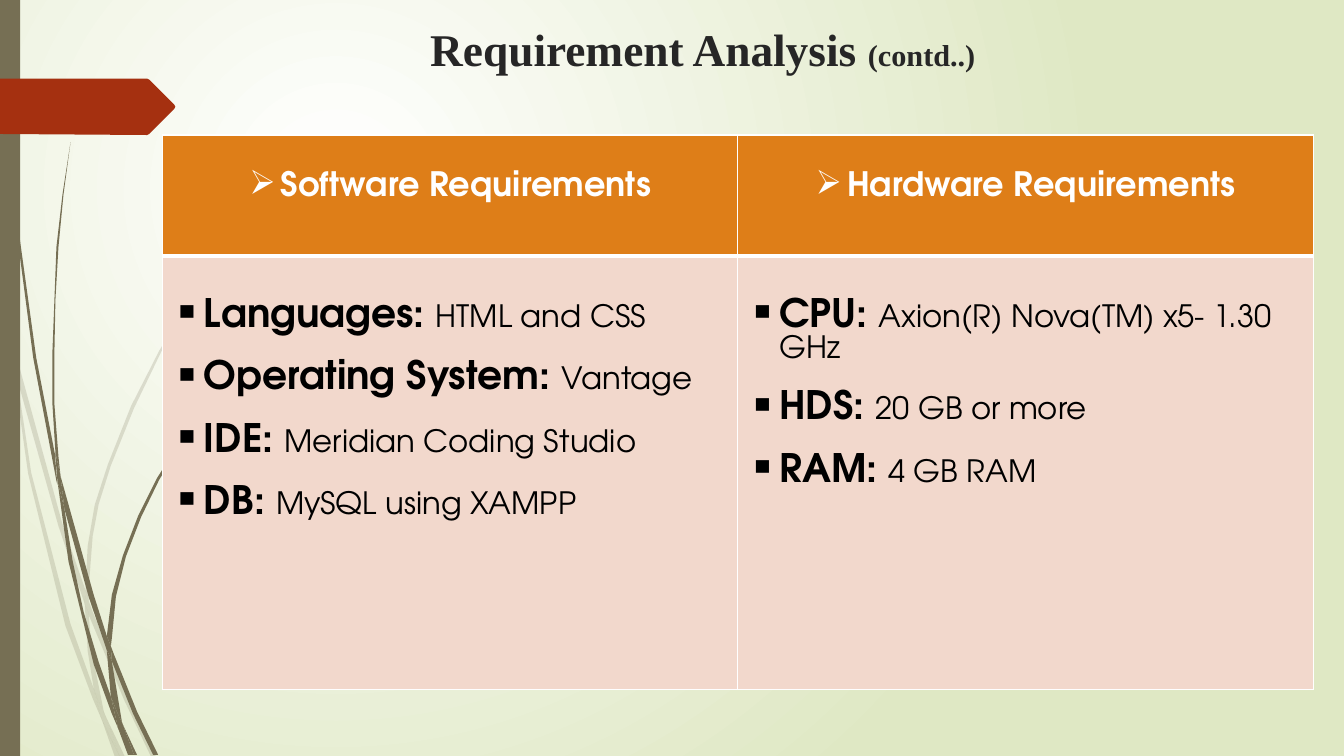
from lxml import etree
from pptx import Presentation
from pptx import util as u
from pptx.dml.color import RGBColor
from pptx.enum import shapes, text
from pptx.oxml.ns import qn

BODY_FONT = "TeX Gyre Adventor"
OLIVE, RUST, ORANGE, BLUSH = "766F54", "A53010", "DE7E18", "F2D8CC"
WHITE, BLACK, INK = "FFFFFF", "000000", "262626"
GRID = 0.72  # points in one unit of the outlines below

PALE_STEMS = [
    "11,350 9,322 0,282 0,299 10,344",
    "58,522 84,599 85,586 62,520 14,345 17,376",
    "92,607 88,596 88,610 123,694 150,751 155,751 127,692",
    "119,751 124,751 105,711",
    "93,683 70,619 31,469 17,376 11,350 28,470 65,621 92,693 101,714 99,707",
    "84,599 87,646 93,683 96,692 105,711 103,706 91,646 88,610 88,608",
    "88,584 92,532 98,500 110,462 133,405 160,349 193,295 229,245 268,198 290,175 312,154 "
    "312,153 289,175 268,197 228,244 191,294 158,348 130,403 107,461 94,501 87,542 85,584 85,586 88,596",
    "101,714 114,751 119,751",
    "88,608 88,610 88,596 85,586 84,599",
    "96,692 93,683 99,707 101,714 119,751 105,711",
]
DARK_STEMS = [
    "7,110 17,233 33,355 56,477 57,481 55,457 55,453 36,355 19,232 8,109 5,48 4,0 3,0 4,48",
    "88,592 106,645 106,633 106,631 93,590 60,472 64,505",
    "113,649 110,641 111,656 132,708 152,749 157,749 136,706",
    "110,691 98,657 83,607 72,556 64,505 57,477 68,557 93,659 111,708 117,722 116,717",
    "60,472 58,453 54,401 54,349 55,297 58,245 63,193 70,141 62,193 56,245 52,349 52,401 55,449",
    "133,749 136,749 122,719",
    "57,477 64,505 60,472 55,449 55,453",
    "111,633 115,592 125,552 140,513 158,476 180,440 205,406 231,374 245,359 261,344 260,344 "
    "245,358 231,373 204,405 178,439 156,474 137,512 122,551 111,590 106,631 110,641",
    "117,722 127,749 131,749",
    "106,645 110,691 116,706 122,719 121,716 111,656 109,651",
    "106,645 109,651 111,656 110,641 106,631 106,633",
    "116,706 110,691 116,717 117,722 130,749 133,749 122,719",
]
ARROW = "0,78 146,78 148,79 173,104 174,106 173,108 148,133 146,134 0,133"

HEADINGS = ["Software Requirements", "Hardware Requirements"]
REQUIREMENTS = [
    [("Languages: ", "HTML and CSS"), ("Operating System: ", "Vantage"),
     ("IDE: ", "Meridian Coding Studio"), ("DB: ", "MySQL using XAMPP")],
    [("CPU: ", "Axion(R) Nova(TM) x5- 1.30 GHz"), ("HDS: ", "20 GB or more"),
     ("RAM: ", "4 GB RAM")],
]


def rgb(value):
    return RGBColor.from_string(value)


def apply(target, values):
    for name, value in values.items():
        setattr(target, name, value)


def paint(shape, color, alpha=None):
    shape.shadow.inherit = False
    shape.fill.solid()
    shape.fill.fore_color.rgb = rgb(color)
    shape.line.fill.background()
    if alpha is not None:
        tint = shape.fill._xPr.find(".//" + qn("a:srgbClr"))
        etree.SubElement(tint, qn("a:alpha"), val=str(alpha * 1000))


def add_outline(page, points, color, alpha=None):
    """Draw a closed outline from "x,y" pairs in grid units."""
    corners = [tuple(u.Pt(int(n) * GRID) for n in pair.split(",")) for pair in points.split()]
    builder = page.shapes.build_freeform(*corners[0], scale=1.0)
    builder.add_line_segments(corners[1:], close=True)
    paint(builder.convert_to_shape(), color, alpha)


def add_span(para, words, size, color, font=BODY_FONT, bold=True):
    span = para.add_run()
    span.text = words
    apply(span.font, {"size": u.Pt(size), "name": font, "bold": bold})
    span.font.color.rgb = rgb(color)


def set_background(page):
    """Fill with a round gradient whose centre is a quarter in from the top left."""
    fill = page.background.fill
    fill.gradient()
    for stop, color in zip(fill.gradient_stops, [WHITE, "DFE8C4"]):
        stop.color.rgb = rgb(color)
    gradient = page._element.find(".//" + qn("a:gradFill"))
    circle = etree.Element(qn("a:path"), path="circle")
    etree.SubElement(circle, qn("a:fillToRect"), l="50000", t="50000", r="100000", b="100000")
    gradient.replace(gradient.find(qn("a:lin")), circle)


def add_title(page):
    box = page.shapes.add_textbox(u.Pt(79), u.Pt(9.4), u.Pt(846), u.Pt(49.7))
    apply(box.text_frame, {"word_wrap": True, "vertical_anchor": text.MSO_ANCHOR.MIDDLE})
    para = box.text_frame.paragraphs[0]
    para.alignment = text.PP_ALIGN.CENTER
    add_span(para, "Requirement Analysis ", 32.4, INK, "Times New Roman")
    add_span(para, "(contd..)", 21.6, INK, "Times New Roman")


def set_bullet(para, mark):
    props = para._p.get_or_add_pPr()
    props.set("marL", str(u.Pt(22.5)))
    props.set("indent", str(-u.Pt(22.5)))
    etree.SubElement(props, qn("a:buChar"), char=mark)


def style_cell(cell, color, top, bottom_line):
    cell.fill.solid()
    cell.fill.fore_color.rgb = rgb(color)
    cell.margin_top = u.Pt(top)
    props = cell._tc.get_or_add_tcPr()
    edges = {"lnL": 1, "lnR": 1, "lnT": 1, "lnB": bottom_line}
    for place, (edge, width) in enumerate(edges.items()):
        line = etree.Element(qn("a:" + edge), w=str(u.Pt(width)))
        solid = etree.SubElement(line, qn("a:solidFill"))
        etree.SubElement(solid, qn("a:srgbClr"), val=WHITE)
        props.insert(place, line)


def fill_heading(cell, words):
    style_cell(cell, ORANGE, top=26, bottom_line=3)
    para = cell.text_frame.paragraphs[0]
    apply(para, {"alignment": text.PP_ALIGN.CENTER, "line_spacing": u.Pt(22)})
    set_bullet(para, "➢")
    add_span(para, words, 24, WHITE)


def fill_requirements(cell, items):
    style_cell(cell, BLUSH, top=34.7, bottom_line=1)
    frame = cell.text_frame
    for index, (label, detail) in enumerate(items):
        para = frame.add_paragraph() if index else frame.paragraphs[0]
        apply(para, {"line_spacing": u.Pt(21.5), "space_before": u.Pt(23 if index else 0)})
        set_bullet(para, "▪")
        add_span(para, label, 28, BLACK)
        add_span(para, detail, 22, BLACK, bold=False)


def add_requirements_table(page):
    frame = page.shapes.add_table(2, 2, u.Pt(116), u.Pt(96.5), u.Pt(822), u.Pt(396))
    table = frame.table
    for row, height in zip(table.rows, [86.4, 309.6]):
        row.height = u.Pt(height)
    for column, (heading, items) in enumerate(zip(HEADINGS, REQUIREMENTS)):
        fill_heading(table.cell(0, column), heading)
        fill_requirements(table.cell(1, column), items)


def main():
    deck = Presentation()
    apply(deck, {"slide_width": u.Pt(960), "slide_height": u.Pt(540)})
    page = deck.slides.add_slide(deck.slide_layouts[6])
    set_background(page)
    for stem in PALE_STEMS:
        add_outline(page, stem, OLIVE, alpha=20)
    for stem in DARK_STEMS:
        add_outline(page, stem, OLIVE)
    side_bar = page.shapes.add_shape(shapes.MSO_SHAPE.RECTANGLE, 0, 0, u.Pt(14.4), u.Pt(540))
    paint(side_bar, OLIVE)
    add_outline(page, ARROW, RUST)
    add_title(page)
    add_requirements_table(page)
    deck.save("out.pptx")


if __name__ == "__main__":
    main()
